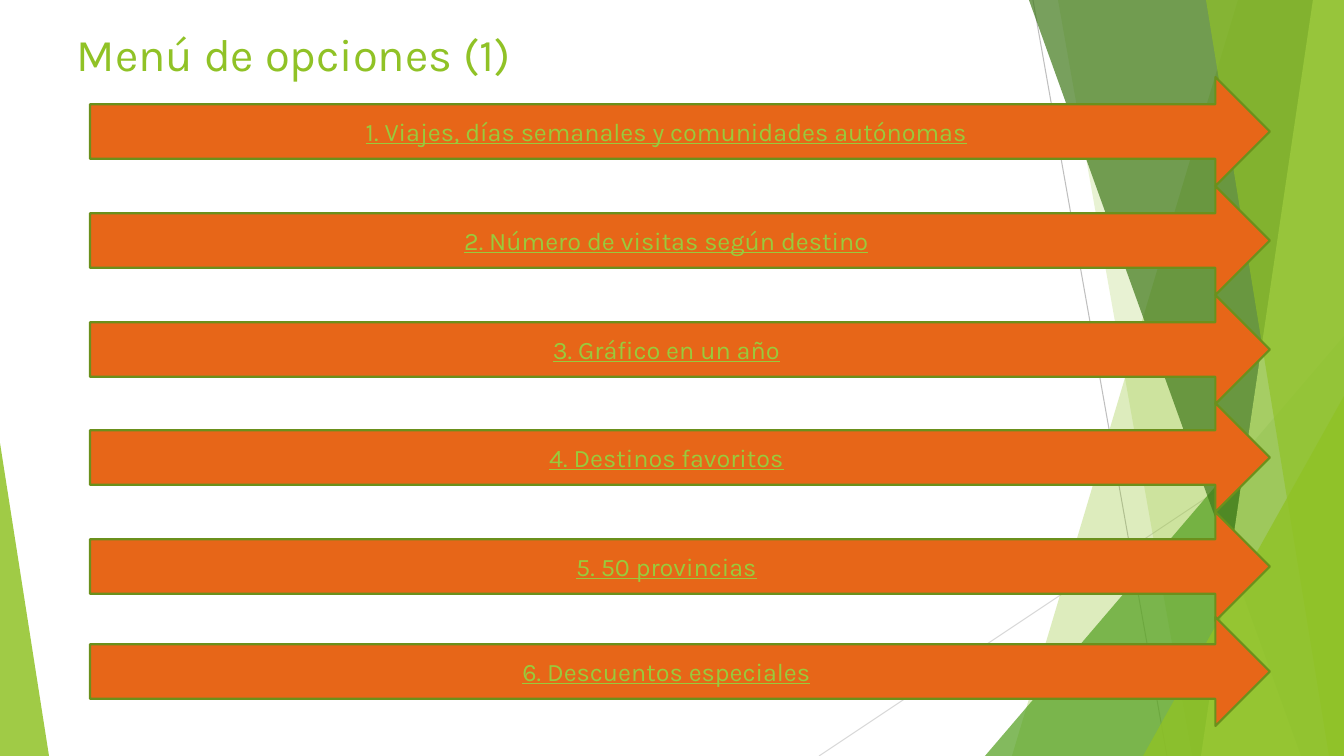
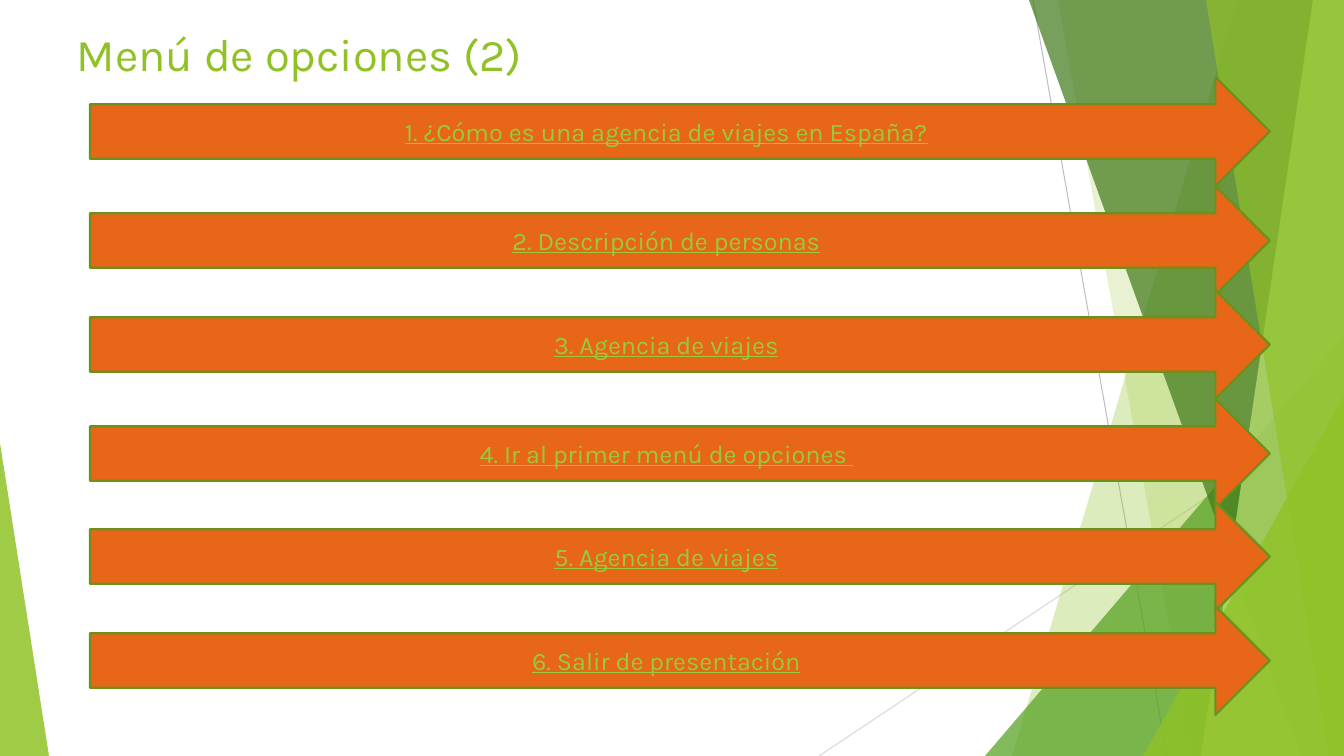
from dataclasses import dataclass

from lxml import etree
from pptx import Presentation
from pptx import util as u
from pptx.dml.color import RGBColor
from pptx.enum import shapes, text
from pptx.oxml.ns import qn

# Scale: 100.8 px to the inch
PX = 914400 / 100.8
WIDE, HIGH = 1344, 756

# Shared style
FONT = "Karla"
LIME = RGBColor(0x90, 0xC2, 0x26)
LEAF = RGBColor(0x54, 0xA0, 0x21)
PINE = RGBColor(0x3F, 0x78, 0x19)
PALE = RGBColor(0xC0, 0xE4, 0x74)
LINK = RGBColor(0x99, 0xCA, 0x3C)
EDGE = RGBColor(0x6B, 0x90, 0x1C)
FIRE = RGBColor(0xE7, 0x66, 0x18)
GRAY = RGBColor(0xBF, 0xBF, 0xBF)
MIST = RGBColor(0xD9, 0xD9, 0xD9)


@dataclass(frozen=True)
class Ray:
    start: tuple[int, int]
    end: tuple[int, int]
    color: RGBColor


@dataclass(frozen=True)
class Band:
    """Panel from the slide's right edge to a slanted left side."""
    top: int
    base: int
    color: RGBColor
    alpha: int


@dataclass(frozen=True)
class Wedge:
    """Triangle standing on the slide's bottom edge."""
    left: int
    top: int
    width: int
    apex: float
    color: RGBColor
    alpha: int


@dataclass(frozen=True)
class Menu:
    title: str
    items: tuple[tuple[int, str], ...]  # top of arrow, label


RAYS = (
    Ray((1033, 0), (1167, HIGH), GRAY),
    Ray((WIDE, 406), (819, HIGH), MIST),
)

# Back to front
PARTS = (
    Band(1238, 1012, LIME, 30),
    Band(1058, 1192, LIME, 20),
    Wedge(985, 336, 359, 1, LEAF, 72),
    Band(1029, 1301, PINE, 70),
    Band(1313, 1201, PALE, 70),
    Band(1206, 1329, LIME, 65),
    Wedge(1143, 396, 201, 1, LIME, 80),
    Wedge(0, 443, 49, 0, LIME, 85),
)

MENUS = (
    Menu("Menú de opciones (1)", (
        (77, "1. Viajes, días semanales y comunidades autónomas"),
        (186, "2. Número de visitas según destino"),
        (295, "3. Gráfico en un año"),
        (403, "4. Destinos favoritos"),
        (512, "5. 50 provincias"),
        (617, "6. Descuentos especiales"),
    )),
    Menu("Menú de opciones (2)", (
        (77, "1. ¿Cómo es una agencia de viajes en España?"),
        (186, "2. Descripción de personas"),
        (290, "3. Agencia de viajes"),
        (399, "4. Ir al primer menú de opciones "),
        (502, "5. Agencia de viajes"),
        (606, "6. Salir de presentación"),
    )),
)


def emu(*px: int) -> list[int]:
    return [round(n * PX) for n in px]


def paint(shape, color: RGBColor, alpha: int = 100) -> None:
    shape.shadow.inherit = False
    shape.fill.solid()
    shape.fill.fore_color.rgb = color
    if alpha < 100:
        tone = shape.fill._xPr.find(qn("a:solidFill"))[0]
        etree.SubElement(tone, qn("a:alpha"), val=str(alpha * 1000))


def write(shape, words: str, size: float, color: RGBColor,
          align: text.PP_ALIGN, under: bool = False) -> None:
    frame = shape.text_frame
    frame.text = words
    frame.word_wrap = True
    frame.vertical_anchor = text.MSO_ANCHOR.MIDDLE
    line = frame.paragraphs[0]
    line.alignment = align
    for run in line.runs:
        run.font.name = FONT
        run.font.size = u.Pt(size)
        run.font.color.rgb = color
        run.font.underline = under


def draw_ray(slide, ray: Ray) -> None:
    line = slide.shapes.add_connector(
        shapes.MSO_CONNECTOR.STRAIGHT, *emu(*ray.start, *ray.end))
    line.line.color.rgb = ray.color
    line.line.width = u.Pt(0.75)
    etree.SubElement(line._element.spPr, qn("a:effectLst"))


def draw_band(slide, band: Band) -> None:
    path = slide.shapes.build_freeform(band.top, 0, scale=PX)
    path.add_line_segments(
        [(WIDE, 0), (WIDE, HIGH), (band.base, HIGH)], close=True)
    shape = path.convert_to_shape()
    paint(shape, band.color, band.alpha)
    shape.line.fill.background()


def draw_wedge(slide, wedge: Wedge) -> None:
    shape = slide.shapes.add_shape(
        shapes.MSO_SHAPE.ISOSCELES_TRIANGLE,
        *emu(wedge.left, wedge.top, wedge.width, HIGH - wedge.top))
    shape.adjustments[0] = wedge.apex
    paint(shape, wedge.color, wedge.alpha)
    shape.line.fill.background()


def draw_frame(slide) -> None:
    for ray in RAYS:
        draw_ray(slide, ray)
    for part in PARTS:
        if isinstance(part, Band):
            draw_band(slide, part)
        else:
            draw_wedge(slide, part)


def draw_arrow(slide, top: int, label: str) -> None:
    arrow = slide.shapes.add_shape(
        shapes.MSO_SHAPE.RIGHT_ARROW, *emu(90, top, 1180, 109))
    paint(arrow, FIRE)
    arrow.line.color.rgb = EDGE
    arrow.line.width = u.Pt(1.5)
    write(arrow, label, 18, LINK, text.PP_ALIGN.CENTER, under=True)


def draw_menu(slide, menu: Menu) -> None:
    draw_frame(slide)
    title = slide.shapes.add_textbox(*emu(67, 15, 493, 76))
    write(title, menu.title, 32.4, LIME, text.PP_ALIGN.LEFT)
    for top, label in menu.items:
        draw_arrow(slide, top, label)


def main() -> None:
    deck = Presentation()
    deck.slide_width, deck.slide_height = emu(WIDE, HIGH)
    for menu in MENUS:
        draw_menu(deck.slides.add_slide(deck.slide_layouts[6]), menu)
    deck.save("out.pptx")


if __name__ == "__main__":
    main()
